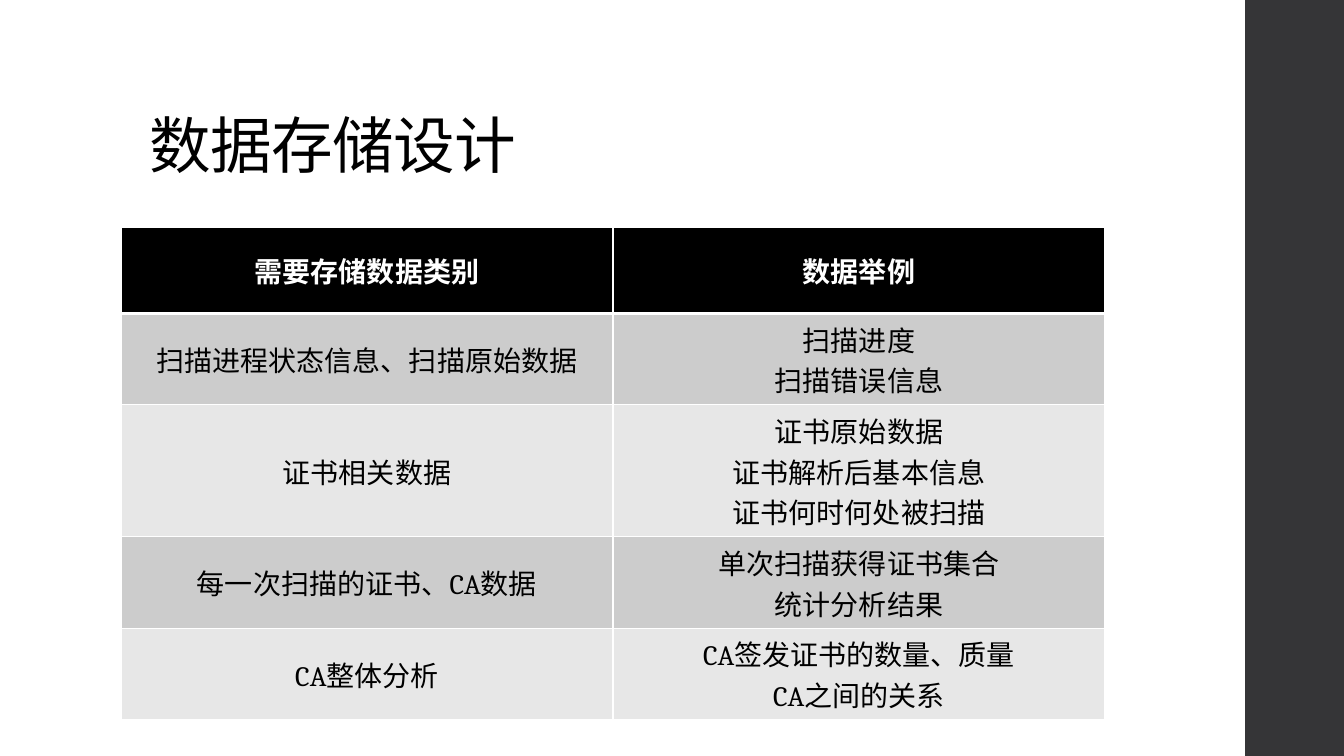
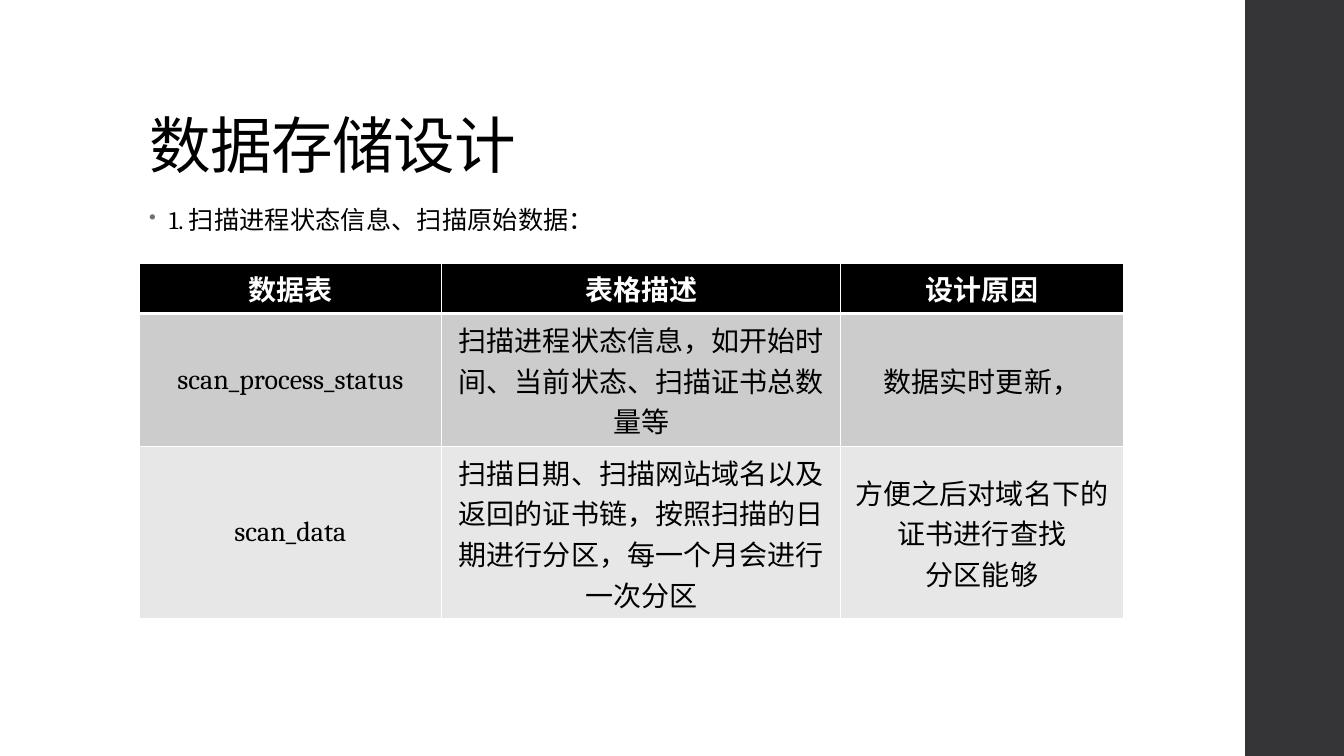
from lxml.etree import SubElement
from pptx import Presentation
from pptx.dml.color import RGBColor
from pptx.enum.shapes import MSO_SHAPE
from pptx.enum.text import MSO_ANCHOR, MSO_AUTO_SIZE, PP_ALIGN
from pptx.oxml.ns import qn
from pptx.util import Inches, Pt

BLACK, WHITE, BAND = "000000", "FFFFFF", "353537"
BULLET_GREY = "6F6F74"
ROW_FILLS = ("CCCCCC", "E7E7E7")
THIN, THICK = 1, 3


def rgb(value):
    return RGBColor.from_string(value)


def write(frame, text, size=20, color=BLACK, bold=False, align=PP_ALIGN.LEFT,
          anchor=MSO_ANCHOR.TOP, line=None, before=None, after=None, spacing=None):
    """Fill a text frame or a cell; each line of text becomes a paragraph."""
    frame.vertical_anchor = anchor
    body = getattr(frame, "text_frame", frame)
    body.text = text
    for paragraph in body.paragraphs:
        paragraph.alignment = align
        paragraph.line_spacing = line
        paragraph.space_before = None if before is None else Pt(before)
        paragraph.space_after = None if after is None else Pt(after)
        for run in paragraph.runs:
            font = run.font
            font.name, font.size, font.bold = "Cambria", Pt(size), bold
            font.color.rgb = rgb(color)
            if spacing is not None:
                font._element.set("spc", str(round(spacing * 100)))


def add_bullet(paragraph, indent=0.2):
    properties = paragraph._p.get_or_add_pPr()
    properties.set("marL", str(Inches(indent)))
    properties.set("indent", str(-Inches(indent)))
    color = SubElement(properties, qn("a:buClr"))
    SubElement(color, qn("a:srgbClr"), val=BULLET_GREY)
    SubElement(properties, qn("a:buSzPct"), val="80000")
    SubElement(properties, qn("a:buChar"), char="•")


def set_borders(cell, top, bottom):
    """Draw white cell borders; call it before the cell gets its fill."""
    properties = cell._tc.get_or_add_tcPr()
    for side, width in (("L", THIN), ("R", THIN), ("T", top), ("B", bottom)):
        border = SubElement(properties, qn(f"a:ln{side}"), w=str(Pt(width)))
        fill = SubElement(border, qn("a:solidFill"))
        SubElement(fill, qn("a:srgbClr"), val=WHITE)


class Deck:
    def __init__(self):
        self.presentation = Presentation()
        self.presentation.slide_width = Inches(13.33)
        self.presentation.slide_height = Inches(7.5)
        self.slide = None

    def add_slide(self, title):
        self.slide = self.presentation.slides.add_slide(self.presentation.slide_layouts[5])
        self.add_band()
        heading = self.slide.shapes.title
        heading.left, heading.top = Inches(1.38), Inches(0.4)
        heading.width, heading.height = Inches(10.6), Inches(1.45)
        heading.text_frame.auto_size = MSO_AUTO_SIZE.NONE
        write(heading.text_frame, title, size=44, anchor=MSO_ANCHOR.BOTTOM,
              line=0.9, spacing=-0.5)

    def add_band(self):
        band = self.slide.shapes.add_shape(
            MSO_SHAPE.RECTANGLE, Inches(12.35), 0, Inches(0.98), Inches(7.5))
        band.shadow.inherit = False
        band.fill.solid()
        band.fill.fore_color.rgb = rgb(BAND)
        band.line.fill.background()

    def add_point(self, text):
        point = self.slide.shapes.add_textbox(
            Inches(1.38), Inches(2), Inches(9.4), Inches(0.5)).text_frame
        point.word_wrap = True
        write(point, text, size=18, line=0.95, before=14, after=2, spacing=0.1)
        add_bullet(point.paragraphs[0])

    def add_table(self, left, top, widths, heights, rows):
        table = self.slide.shapes.add_table(
            len(rows), len(widths), Inches(left), Inches(top),
            Inches(sum(widths)), Inches(sum(heights))).table
        table.horz_banding = False
        for column, width in zip(table.columns, widths):
            column.width = Inches(width)
        for index, (row, height, texts) in enumerate(zip(table.rows, heights, rows)):
            row.height = Inches(height)
            header = index == 0
            for cell, text in zip(row.cells, texts):
                set_borders(cell, top=THICK if index == 1 else THIN,
                            bottom=THICK if header else THIN)
                cell.fill.solid()
                cell.fill.fore_color.rgb = rgb(BLACK if header else ROW_FILLS[(index - 1) % 2])
                write(cell, text, color=WHITE if header else BLACK, bold=header,
                      align=PP_ALIGN.CENTER, anchor=MSO_ANCHOR.MIDDLE)


def main():
    deck = Deck()

    deck.add_slide("数据存储设计")
    deck.add_table(1.2, 2.26, [4.88, 4.88], [0.85, 0.86, 1.23, 0.86, 0.86], [
        ("需要存储数据类别", "数据举例"),
        ("扫描进程状态信息、扫描原始数据", "扫描进度\n扫描错误信息"),
        ("证书相关数据", "证书原始数据\n证书解析后基本信息\n证书何时何处被扫描"),
        ("每一次扫描的证书、CA数据", "单次扫描获得证书集合\n统计分析结果"),
        ("CA整体分析", "CA签发证书的数量、质量\nCA之间的关系"),
    ])

    deck.add_slide("数据存储设计")
    deck.add_point("1. 扫描进程状态信息、扫描原始数据：")
    deck.add_table(1.38, 2.61, [3, 3.96, 2.8], [0.5, 1.32, 1.71], [
        ("数据表", "表格描述", "设计原因"),
        ("scan_process_status",
         "扫描进程状态信息，如开始时间、当前状态、扫描证书总数量等",
         "数据实时更新，"),
        ("scan_data",
         "扫描日期、扫描网站域名以及返回的证书链，按照扫描的日期进行分区，每一个月会进行一次分区",
         "方便之后对域名下的证书进行查找\n分区能够"),
    ])

    deck.presentation.save("out.pptx")


if __name__ == "__main__":
    main()
